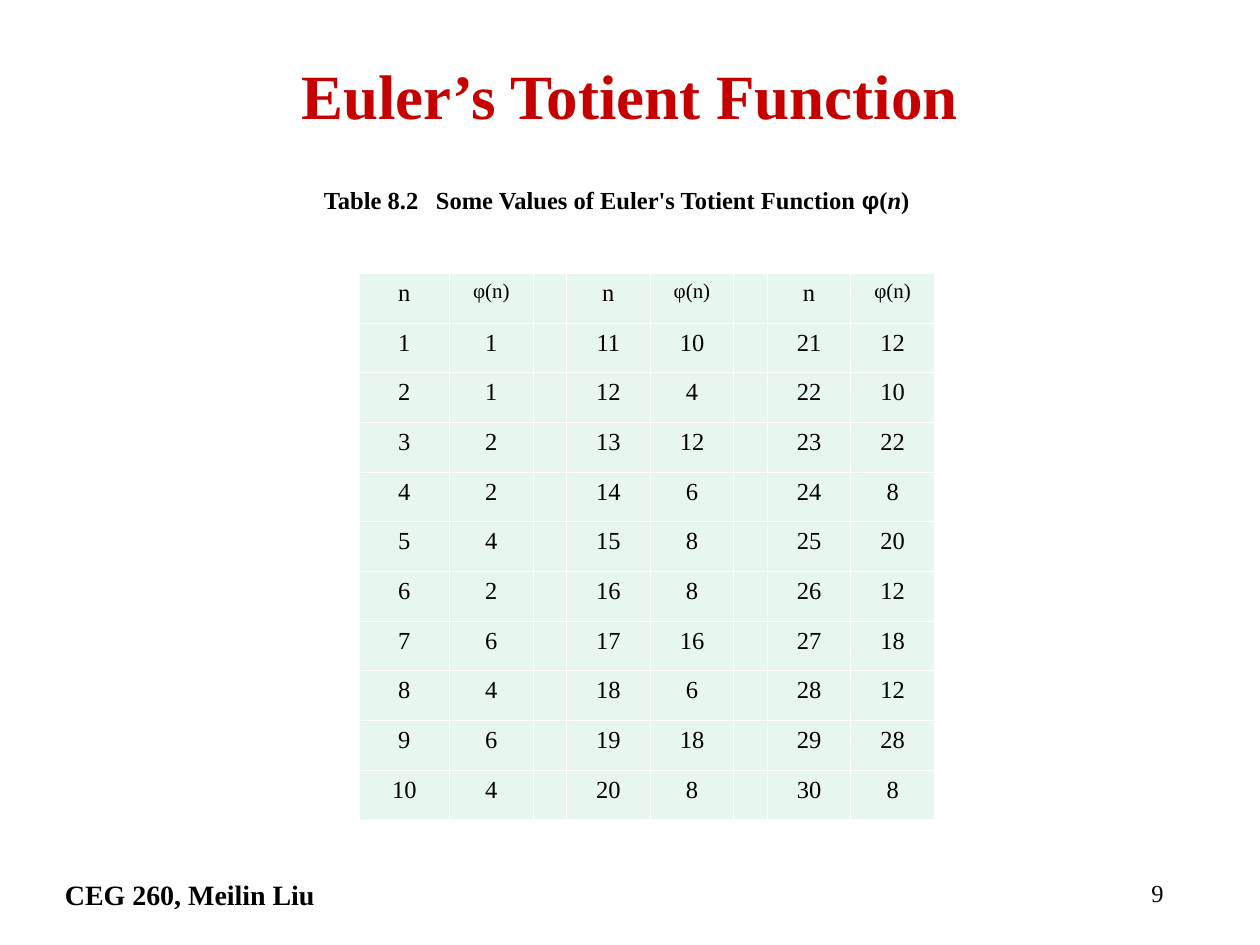
from dataclasses import dataclass
from math import gcd

from lxml import etree
from pptx import Presentation
from pptx.dml.color import RGBColor
from pptx.enum.text import MSO_ANCHOR, PP_ALIGN
from pptx.oxml.ns import qn
from pptx.util import Pt

LEFT, CENTER, RIGHT = PP_ALIGN.LEFT, PP_ALIGN.CENTER, PP_ALIGN.RIGHT
TOP, MIDDLE = MSO_ANCHOR.TOP, MSO_ANCHOR.MIDDLE
SERIF, SANS = "Times New Roman", "Arial"
BLACK, WHITE, RED, MINT = "000000", "FFFFFF", "C60000", "E7F6EF"

ROWS_PER_GROUP = 10
GROUPS = 3
N_WIDTHS = (51.7, 47.8, 47.8)
PHI_WIDTH = 47.8
GAP_WIDTH = 19.1
ROW_HEIGHT = 28.4
BORDER_WIDTH = 0.45


@dataclass(frozen=True)
class TextRun:
    text: str
    size: float = 14
    font: str = SERIF
    color: str = BLACK
    bold: bool = False
    italic: bool = False


@dataclass(frozen=True)
class TextBlock:
    left: float
    top: float
    width: float
    height: float
    runs: tuple[TextRun, ...]
    align: PP_ALIGN = LEFT
    anchor: MSO_ANCHOR = TOP
    tab: float | None = None


TEXT_BLOCKS = (
    TextBlock(30, 498, 456, 30, (TextRun("CEG 260, Meilin Liu", 16, bold=True),)),
    TextBlock(522, 498, 150, 30, (TextRun("9"),), RIGHT),
    TextBlock(54, 24, 612, 60,
              (TextRun("Euler’s Totient Function", 36, color=RED, bold=True),),
              CENTER, MIDDLE),
    TextBlock(178, 102, 384, 41,
              (TextRun("Table 8.2\tSome Values of Euler's Totient Function ", bold=True),
               TextRun("φ", font=SANS, bold=True),
               TextRun("(", bold=True),
               TextRun("n", bold=True, italic=True),
               TextRun(")", bold=True)),
              tab=64),
)


def rgb(value: str) -> RGBColor:
    return RGBColor.from_string(value)


def add_run(paragraph, text_run: TextRun) -> None:
    run = paragraph.add_run()
    run.text = text_run.text
    font = run.font
    font.name = text_run.font
    font.size = Pt(text_run.size)
    font.bold = text_run.bold
    font.italic = text_run.italic
    font.color.rgb = rgb(text_run.color)


def add_tab_stop(paragraph, position: float) -> None:
    tab_list = etree.SubElement(paragraph._p.get_or_add_pPr(), qn("a:tabLst"))
    etree.SubElement(tab_list, qn("a:tab"), pos=str(Pt(position)), algn="l")


def add_text(slide, block: TextBlock) -> None:
    shape = slide.shapes.add_textbox(
        Pt(block.left), Pt(block.top), Pt(block.width), Pt(block.height))
    frame = shape.text_frame
    frame.word_wrap = True
    frame.vertical_anchor = block.anchor
    paragraph = frame.paragraphs[0]
    paragraph.alignment = block.align
    if block.tab is not None:
        add_tab_stop(paragraph, block.tab)
    for text_run in block.runs:
        add_run(paragraph, text_run)


def set_borders(cell) -> None:
    properties = cell._tc.get_or_add_tcPr()
    for index, side in enumerate(("a:lnL", "a:lnR", "a:lnT", "a:lnB")):
        line = etree.Element(qn(side), w=str(Pt(BORDER_WIDTH)))
        fill = etree.SubElement(line, qn("a:solidFill"))
        etree.SubElement(fill, qn("a:srgbClr"), val=WHITE)
        properties.insert(index, line)


def fill_cell(cell, text_run: TextRun | None) -> None:
    cell.fill.solid()
    cell.fill.fore_color.rgb = rgb(MINT)
    set_borders(cell)
    cell.margin_left = cell.margin_right = Pt(4.5)
    cell.margin_top = cell.margin_bottom = Pt(3.6 if text_run else 0)
    if text_run:
        paragraph = cell.text_frame.paragraphs[0]
        paragraph.alignment = CENTER
        paragraph.space_before = paragraph.space_after = Pt(2)
        add_run(paragraph, text_run)


def totient(n: int) -> int:
    return sum(gcd(n, k) == 1 for k in range(1, n + 1))


def table_row(row: int) -> list[TextRun | None]:
    """Return the cells of one row, with None for the gap between groups."""
    cells: list[TextRun | None] = []
    for group in range(GROUPS):
        if group:
            cells.append(None)
        if row == 0:
            cells += [TextRun("n"), TextRun("φ(n)", 12)]
        else:
            n = group * ROWS_PER_GROUP + row
            cells += [TextRun(str(n)), TextRun(str(totient(n)))]
    return cells


def add_totient_table(slide, left: float, top: float) -> None:
    widths: list[float] = []
    for n_width in N_WIDTHS:
        if widths:
            widths.append(GAP_WIDTH)
        widths += [n_width, PHI_WIDTH]
    row_count = ROWS_PER_GROUP + 1
    table = slide.shapes.add_table(
        row_count, len(widths), Pt(left), Pt(top),
        Pt(sum(widths)), Pt(row_count * ROW_HEIGHT)).table
    table.first_row = table.horz_banding = False
    for column, width in zip(table.columns, widths):
        column.width = Pt(width)
    for index, row in enumerate(table.rows):
        row.height = Pt(ROW_HEIGHT)
        for cell, text_run in zip(row.cells, table_row(index)):
            fill_cell(cell, text_run)


def main() -> None:
    presentation = Presentation()
    presentation.slide_width, presentation.slide_height = Pt(720), Pt(540)
    slide = presentation.slides.add_slide(presentation.slide_layouts[6])
    for block in TEXT_BLOCKS:
        add_text(slide, block)
    add_totient_table(slide, 205.2, 156.3)
    presentation.save("out.pptx")


if __name__ == "__main__":
    main()
